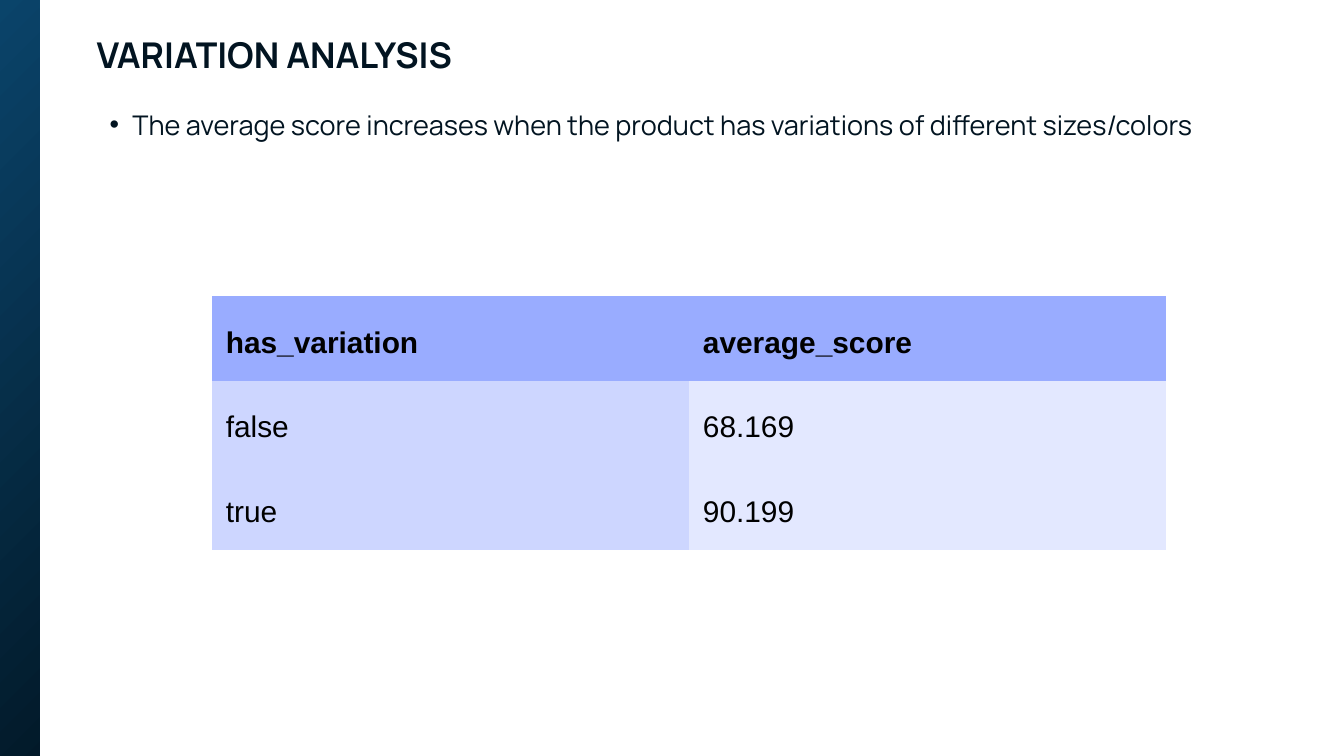
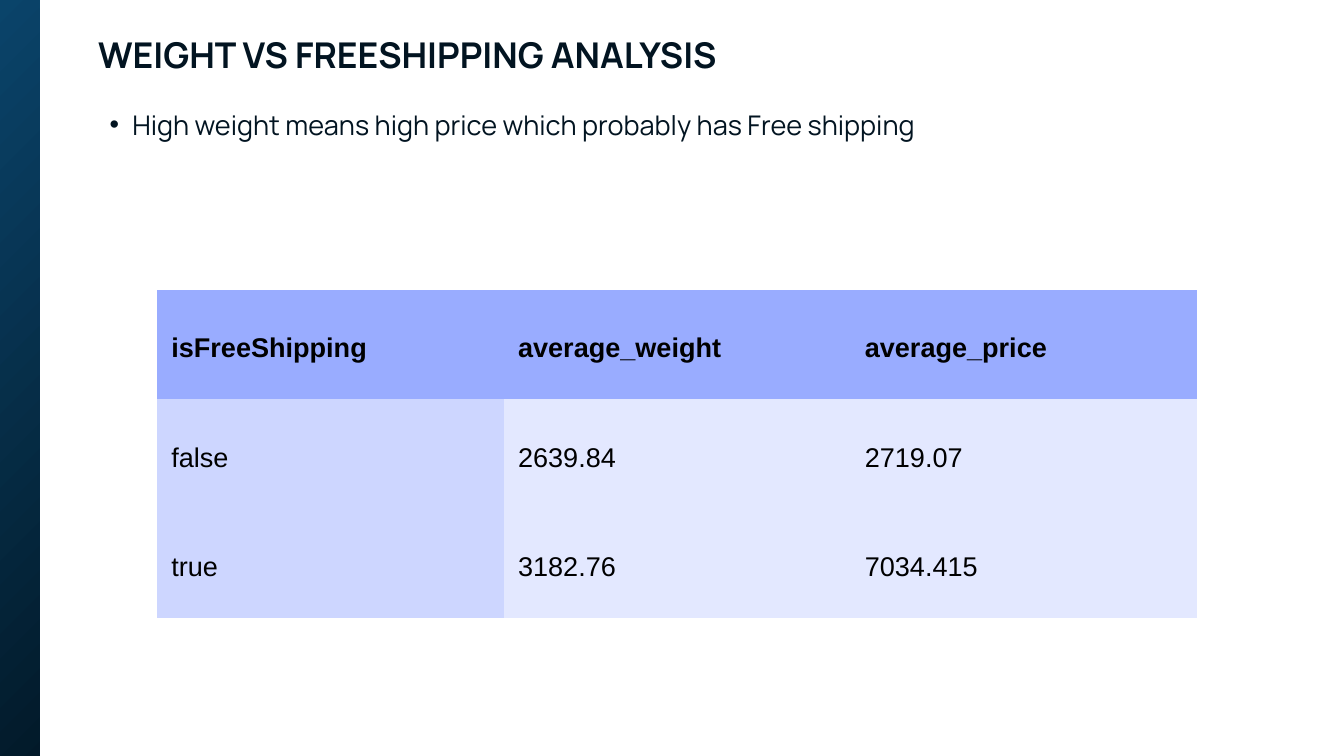
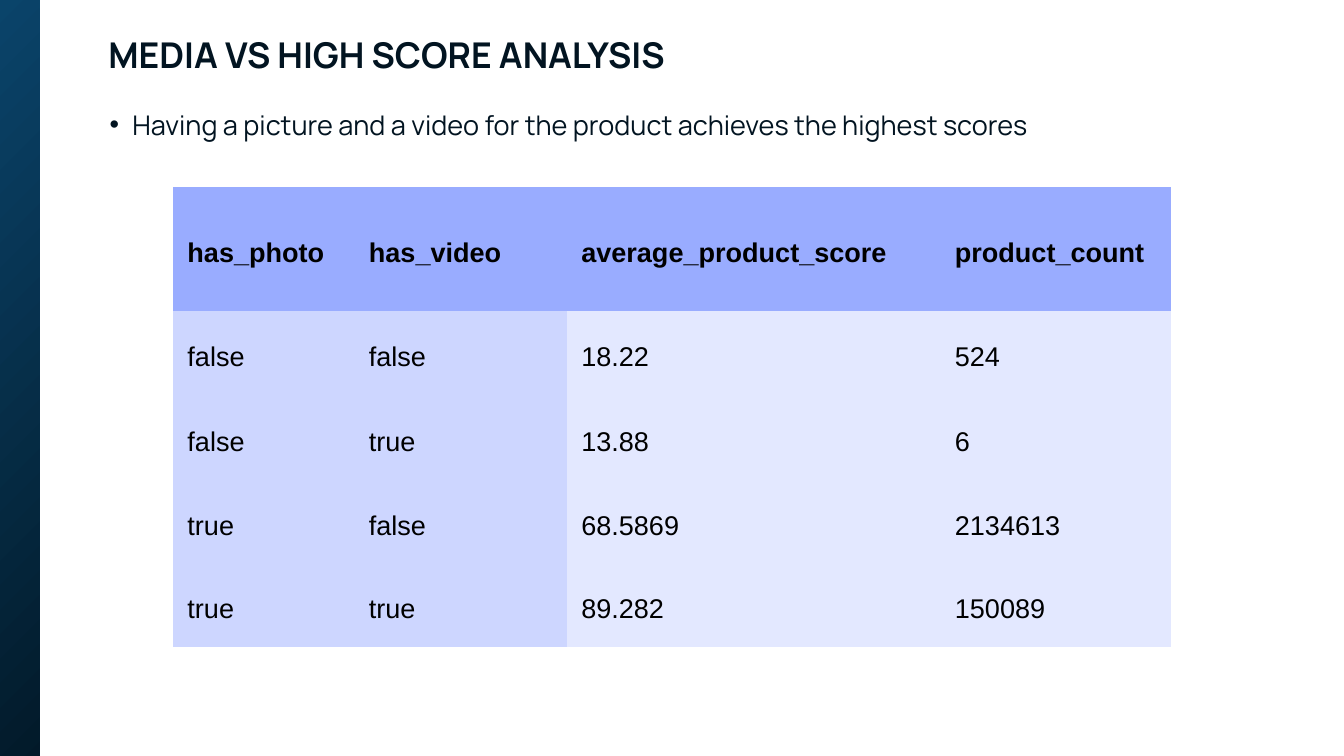
"""Build three product analysis slides, each with a headline, a finding and a table."""
from dataclasses import dataclass

from lxml.etree import SubElement
from pptx import Presentation
from pptx.dml.color import RGBColor
from pptx.enum.shapes import MSO_SHAPE
from pptx.enum.text import MSO_ANCHOR, MSO_AUTO_SIZE, PP_ALIGN
from pptx.oxml.ns import qn
from pptx.util import Emu, Pt

EMU_PER_PX = 9144
INK, BLACK = "021421", "000000"
BAND_COLORS = ("0B4972", "021827")
HEADER_FILL, KEY_FILL, VALUE_FILL = "99ACFF", "CDD6FF", "E3E8FF"
HEADING_FONT, TABLE_FONT = "Manrope", "Arial"
TITLE_SIZE, BODY_SIZE = 38, 29
LEADING = 1.4
NO_STYLE_NO_GRID = "{2D5ABB26-0587-4C30-8999-92F81FD0307C}"


@dataclass(frozen=True)
class Grid:
    left: int
    top: int
    cols: tuple[int, ...]
    rows: tuple[int, ...]
    cells: tuple[tuple[str, ...], ...]
    size: int = BODY_SIZE
    key_cols: int = 1


@dataclass(frozen=True)
class Analysis:
    title: str
    title_left: int
    title_width: int
    finding: str
    grid: Grid


ANALYSES = (
    Analysis(
        "VARIATION ANALYSIS", 121, 575,
        "The average score increases when the product has variations of different sizes/colors",
        Grid(315, 441, (710,) * 2, (126,) * 3, (
            ("has_variation", "average_score"),
            ("false", "68.169"),
            ("true", "90.199"),
        ), size=32),
    ),
    Analysis(
        "WEIGHT VS FREESHIPPING ANALYSIS", 59, 1095,
        "High weight means high price which probably has Free shipping",
        Grid(234, 431, (516,) * 3, (163,) * 3, (
            ("isFreeShipping", "average_weight", "average_price"),
            ("false", "2639.84", "2719.07"),
            ("true", "3182.76", "7034.415"),
        )),
    ),
    Analysis(
        "MEDIA VS HIGH SCORE ANALYSIS", 28, 1095,
        "Having a picture and a video for the product achieves the highest scores",
        Grid(258, 278, (270, 316, 556, 342), (185, 125, 128, 122, 125), (
            ("has_photo", "has_video", "average_product_score", "product_count"),
            ("false", "false", "18.22", "524"),
            ("false", "true", "13.88", "6"),
            ("true", "false", "68.5869", "2134613"),
            ("true", "true", "89.282", "150089"),
        ), key_cols=2),
    ),
)


def px(n: int) -> Emu:
    """Turn px into EMU."""
    return Emu(n * EMU_PER_PX)


def color(value: str) -> RGBColor:
    """Turn a hex string into a colour."""
    return RGBColor.from_string(value)


def format_paragraph(p, font: str, size: int, ink: str, bold: bool = False) -> None:
    """Set the spacing of a paragraph and the font of its runs."""
    p.line_spacing = Pt(round(size * LEADING, 1))
    p.space_before = Pt(0)
    for r in p.runs:
        r.font.name = font
        r.font.size = Pt(size)
        r.font.bold = bold
        r.font.color.rgb = color(ink)


def fill_placeholder(sp, text: str, left: int, top: int, width: int, height: int):
    """Move a placeholder, set its text and return the paragraph."""
    sp.left, sp.top, sp.width, sp.height = map(px, (left, top, width, height))
    tf = sp.text_frame
    tf.text = text
    tf.word_wrap = True
    tf.auto_size = MSO_AUTO_SIZE.SHAPE_TO_FIT_TEXT
    tf.vertical_anchor = MSO_ANCHOR.TOP
    tf.margin_left = tf.margin_top = tf.margin_right = tf.margin_bottom = 0
    return tf.paragraphs[0]


def add_bullet(p) -> None:
    """Give a paragraph a hanging round bullet."""
    p.level = 1
    pPr = p._p.get_or_add_pPr()
    pPr.set("marL", str(px(68)))
    pPr.set("indent", str(px(-34)))
    SubElement(pPr, qn("a:buFont")).set("typeface", TABLE_FONT)
    SubElement(pPr, qn("a:buChar")).set("char", "•")


def add_band(s) -> None:
    """Draw the gradient band along the left edge."""
    sp = s.shapes.add_shape(MSO_SHAPE.RECTANGLE, px(-96), px(-51), px(155), px(1228))
    sp.shadow.inherit = False
    sp.line.fill.background()
    sp.fill.gradient()
    sp.fill.gradient_angle = 315
    for stop, value in zip(sp.fill.gradient_stops, BAND_COLORS):
        stop.color.rgb = color(value)


def add_grid(s, grid: Grid) -> None:
    """Draw a table with a header row and tinted key columns."""
    frame = s.shapes.add_table(
        len(grid.rows), len(grid.cols), px(grid.left), px(grid.top),
        px(sum(grid.cols)), px(sum(grid.rows)))
    table = frame.table
    table.horz_banding = False
    table._tbl.tblPr.find(qn("a:tableStyleId")).text = NO_STYLE_NO_GRID
    for col, width in zip(table.columns, grid.cols):
        col.width = px(width)
    for i, (row, height) in enumerate(zip(table.rows, grid.rows)):
        row.height = px(height)
        for j, cell in enumerate(row.cells):
            body_fill = KEY_FILL if j < grid.key_cols else VALUE_FILL
            cell.fill.solid()
            cell.fill.fore_color.rgb = color(HEADER_FILL if i == 0 else body_fill)
            cell.vertical_anchor = MSO_ANCHOR.MIDDLE
            cell.margin_left = cell.margin_top = px(21)
            cell.margin_right = cell.margin_bottom = px(21)
            cell.text_frame.text = grid.cells[i][j]
            format_paragraph(cell.text_frame.paragraphs[0], TABLE_FONT, grid.size, BLACK, i == 0)


def add_analysis(prs, analysis: Analysis) -> None:
    """Add one analysis slide."""
    s = prs.slides.add_slide(prs.slide_layouts[1])
    add_band(s)
    p = fill_placeholder(s.shapes.title, analysis.title,
                         analysis.title_left, 38, analysis.title_width, 75)
    p.alignment = PP_ALIGN.CENTER
    format_paragraph(p, HEADING_FONT, TITLE_SIZE, INK, True)
    p = fill_placeholder(s.placeholders[1], analysis.finding, 129, 153, 1759, 57)
    add_bullet(p)
    format_paragraph(p, HEADING_FONT, BODY_SIZE, INK)
    add_grid(s, analysis.grid)


def main() -> None:
    """Build and save the slides."""
    prs = Presentation()
    prs.slide_width, prs.slide_height = px(2000), px(1125)
    for analysis in ANALYSES:
        add_analysis(prs, analysis)
    prs.save("out.pptx")


if __name__ == "__main__":
    main()
